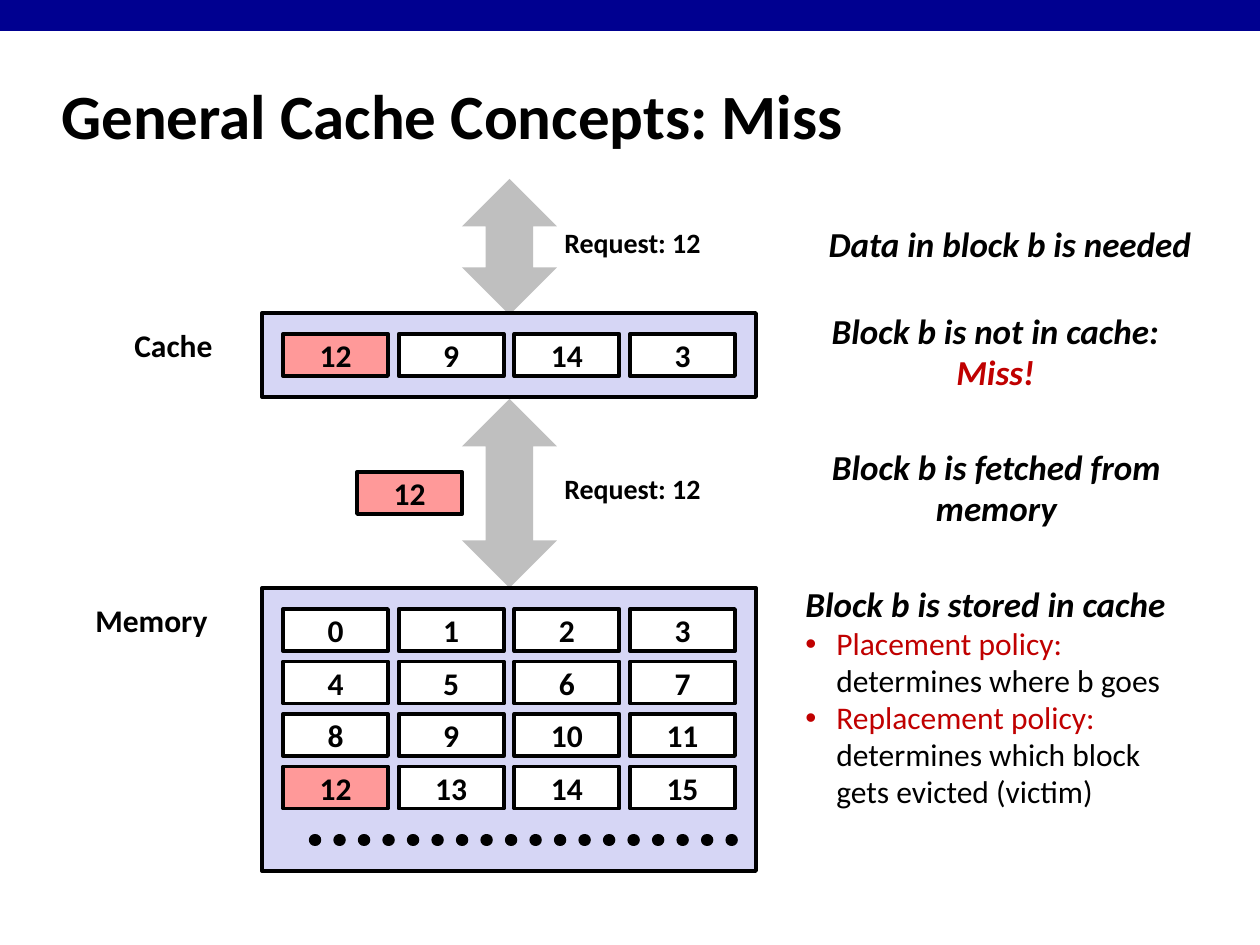
from lxml import etree
from pptx import Presentation
from pptx.dml.color import RGBColor
from pptx.enum.dml import MSO_LINE
from pptx.enum.shapes import MSO_CONNECTOR, MSO_SHAPE
from pptx.enum.text import MSO_ANCHOR, PP_ALIGN
from pptx.oxml.ns import qn
from pptx.util import Emu, Pt

RECT, ARROW = MSO_SHAPE.RECTANGLE, MSO_SHAPE.UP_DOWN_ARROW
LINE, DOTS = MSO_CONNECTOR.STRAIGHT, MSO_LINE.ROUND_DOT
TOP, MIDDLE = MSO_ANCHOR.TOP, MSO_ANCHOR.MIDDLE
LEFT, CENTER = PP_ALIGN.LEFT, PP_ALIGN.CENTER
BLACK = RGBColor(0x00, 0x00, 0x00)
WHITE = RGBColor(0xFF, 0xFF, 0xFF)
NAVY = RGBColor(0x00, 0x00, 0x90)
GRAY = RGBColor(0xBF, 0xBF, 0xBF)
LILAC = RGBColor(0xD6, 0xD6, 0xF5)
PINK = RGBColor(0xFF, 0x99, 0x99)
RED = RGBColor(0xC0, 0x00, 0x00)
FONT = "Calibri"
BLOCK = 12
CELL_W, CELL_H, PAD = 105, 42, 21


def px(size):
    return Emu(round(size * 914400 / 126))


def style(font, size, color=BLACK, bold=True, italic=False):
    font.name, font.size = FONT, Pt(size)
    font.bold, font.italic = bold, italic
    font.color.rgb = color


def draw(slide, kind, box, fill, edge=False):
    shape = slide.shapes.add_shape(kind, *map(px, box))
    shape.shadow.inherit = False
    shape.fill.solid()
    shape.fill.fore_color.rgb = fill
    if edge:
        shape.line.color.rgb = BLACK
        shape.line.width = Pt(2.25)
    else:
        shape.line.fill.background()
    return shape


def write(slide, box, lines, size, align=CENTER, anchor=TOP,
          space=0.9, italic=False):
    frame = slide.shapes.add_textbox(*map(px, box)).text_frame
    frame.word_wrap = align == LEFT
    frame.vertical_anchor = anchor
    for num, (text, color) in enumerate(lines):
        para = frame.add_paragraph() if num else frame.paragraphs[0]
        para.text, para.alignment, para.line_spacing = text, align, space
        style(para.font, size, color, italic=italic)
    return frame


def cell(slide, x, y, num):
    fill = PINK if num == BLOCK else WHITE
    shape = draw(slide, RECT, (x, y, CELL_W, CELL_H), fill, True)
    frame = shape.text_frame
    frame.vertical_anchor = MIDDLE
    para = frame.paragraphs[0]
    para.text, para.alignment = str(num), CENTER
    style(para.font, 18)


def store(slide, box, rows):
    x, y, width, _ = box
    draw(slide, RECT, box, LILAC, True)
    step = (width - 2 * PAD - CELL_W) / (len(rows[0]) - 1)
    for row, nums in enumerate(rows):
        for col, num in enumerate(nums):
            cell(slide, x + PAD + col * step,
                 y + PAD + row * CELL_H * 1.25, num)


def dots(slide, x, y, width):
    line = slide.shapes.add_connector(LINE, px(x), px(y), px(x + width), px(y))
    line.line.color.rgb = BLACK
    line.line.width = Pt(7)
    line.line.dash_style = DOTS
    props = line.element.spPr
    props.find(qn("a:ln")).set("cap", "rnd")
    etree.SubElement(props, qn("a:effectLst"))


def request(slide, box):
    x, y, width, height = box
    draw(slide, ARROW, box, GRAY)
    write(slide, (x + width - 5, y + height / 2 - 24, 161, 43),
          [("Request: 12", BLACK)], 16)


def note(slide, box, lines):
    write(slide, box, lines, 20, anchor=MIDDLE, space=0.98, italic=True)


def policy(slide, box, head, items):
    frame = write(slide, box, [(head, BLACK)], 20, LEFT, MIDDLE, 0.98, True)
    for name, lines in items:
        para = frame.add_paragraph()
        para.line_spacing = 0.98
        props = para._p.get_or_add_pPr()
        props.set("marL", str(px(31)))
        props.set("indent", str(-px(31)))
        tint = etree.SubElement(props, qn("a:buClr"))
        etree.SubElement(tint, qn("a:srgbClr"), val=str(RED))
        etree.SubElement(props, qn("a:buFont"), typeface="Arial")
        etree.SubElement(props, qn("a:buChar"), char="•")
        run = para.add_run()
        run.text = name
        style(run.font, 18, RED, bold=False)
        for text in lines:
            para.add_line_break()
            run = para.add_run()
            run.text = text
            style(run.font, 18, bold=False)


def main():
    deck = Presentation()
    deck.slide_width, deck.slide_height = px(1260), px(945)
    slide = deck.slides.add_slide(deck.slide_layouts[6])
    draw(slide, RECT, (0, 0, 1260, 31), NAVY)
    write(slide, (49, 62, 1046, 105), [("General Cache Concepts: Miss", BLACK)],
          36, LEFT, MIDDLE, 1.0)
    request(slide, (462, 179, 95, 136))
    request(slide, (462, 399, 95, 189))
    store(slide, (262, 588, 494, 283), [range(n, n + 4) for n in range(0, 16, 4)])
    dots(slide, 315, 840, 420)
    store(slide, (262, 313, 494, 84), [(12, 9, 14, 3)])
    cell(slide, 357, 472, BLOCK)
    write(slide, (122, 324, 103, 47), [("Cache", BLACK)], 18)
    write(slide, (83, 599, 137, 47), [("Memory", BLACK)], 18)
    note(slide, (816, 218, 388, 54), [("Data in block b is needed", BLACK)])
    note(slide, (819, 305, 353, 96),
         [("Block b is not in cache:", BLACK), ("Miss!", RED)])
    note(slide, (819, 441, 355, 96),
         [("Block b is fetched from", BLACK), ("memory", BLACK)])
    policy(slide, (793, 578, 449, 239), "Block b is stored in cache", [
        ("Placement policy:", ["determines where b goes"]),
        ("Replacement policy:", ["determines which block", "gets evicted (victim)"]),
    ])
    deck.save("out.pptx")


if __name__ == "__main__":
    main()
